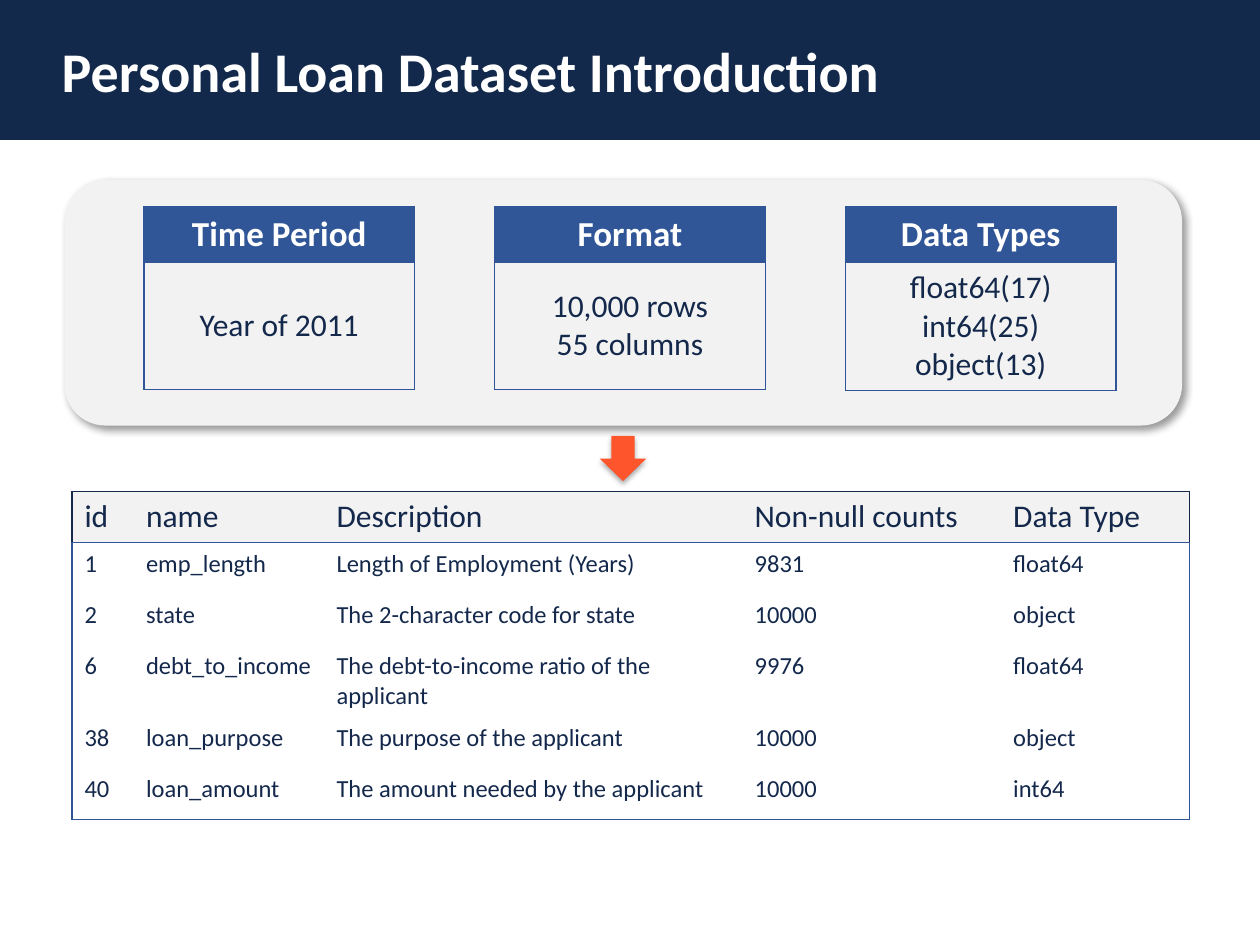
from dataclasses import dataclass

from lxml.etree import SubElement
from pptx import Presentation
from pptx.dml.color import RGBColor
from pptx.enum.shapes import MSO_SHAPE as Shape
from pptx.enum.text import MSO_ANCHOR as Anchor, PP_ALIGN as Align
from pptx.oxml.ns import qn
from pptx.util import Cm, Pt

TITLE = "Personal Loan Dataset Introduction"
CARDS = [
    ("Time Period", "Year of 2011"),
    ("Format", "10,000 rows\n55 columns"),
    ("Data Types", "float64(17)\nint64(25)\nobject(13)"),
]
FIELDS = [
    ("id", "name", "Description", "Non-null counts", "Data Type"),
    ("1", "emp_length", "Length of Employment (Years)", "9831", "float64"),
    ("2", "state", "The 2-character code for state", "10000", "object"),
    ("6", "debt_to_income", "The debt-to-income ratio of the applicant", "9976", "float64"),
    ("38", "loan_purpose", "The purpose of the applicant", "10000", "object"),
    ("40", "loan_amount", "The amount needed by the applicant", "10000", "int64"),
]
FIELD_WIDTHS = (1.24, 3.84, 8.43, 5.21, 3.81)
FIELD_ROW = 1.03
CARD_LEFT, CARD_TOP, CARD_WIDTH, CARD_STEP = 2.9, 4.17, 5.46, 7.07
CARD_ROWS = (1.12, 2.56)


@dataclass(frozen=True)
class Theme:
    font: str = "Calibri"
    band: str = "13294B"
    ink: str = "13284B"
    blue: str = "305697"
    panel: str = "F2F2F2"
    accent: str = "FF552D"
    white: str = "FFFFFF"
    title: int = 32
    card_head: int = 20
    body: int = 18
    small: int = 14


THEME = Theme()


def format_text(text_frame, size, color, bold=False, align=Align.LEFT):
    for paragraph in text_frame.paragraphs:
        paragraph.alignment = align
        for run in paragraph.runs:
            run.font.name = THEME.font
            run.font.size = Pt(size)
            run.font.bold = bold
            run.font.color.rgb = RGBColor.from_string(color)


def add_block(slide, kind, box, color):
    """Add a filled shape without outline or shadow."""
    shape = slide.shapes.add_shape(kind, *map(Cm, box))
    shape.shadow.inherit = False
    shape.fill.solid()
    shape.fill.fore_color.rgb = RGBColor.from_string(color)
    shape.line.fill.background()
    return shape


def add_shadow(shape, blur, distance, angle, opacity):
    effects = shape.element.spPr.find(qn("a:effectLst"))
    shadow = SubElement(effects, qn("a:outerShdw"), blurRad=str(Pt(blur)),
                        dist=str(Pt(distance)), dir=str(angle * 60000),
                        algn="tl", rotWithShape="0")
    color = SubElement(shadow, qn("a:srgbClr"), val="000000")
    SubElement(color, qn("a:alpha"), val=str(opacity * 1000))


def set_borders(cell, colors):
    """Draw the sides named in colors and clear the others."""
    properties = cell._tc.get_or_add_tcPr()
    for side in "LRTB":
        line = SubElement(properties, qn(f"a:ln{side}"), w=str(Pt(1)))
        if side in colors:
            fill = SubElement(line, qn("a:solidFill"))
            SubElement(fill, qn("a:srgbClr"), val=colors[side])
        else:
            SubElement(line, qn("a:noFill"))


def fill_cell(cell, text, borders, fill=None, **text_format):
    cell.text_frame.text = text
    format_text(cell.text_frame, **text_format)
    set_borders(cell, borders)
    if fill:
        cell.fill.solid()
        cell.fill.fore_color.rgb = RGBColor.from_string(fill)
    else:
        cell.fill.background()


def add_plain_table(slide, left, top, widths, heights):
    table = slide.shapes.add_table(len(heights), len(widths), Cm(left), Cm(top),
                                   Cm(sum(widths)), Cm(sum(heights))).table
    table.first_row = table.horz_banding = False
    for column, width in zip(table.columns, widths):
        column.width = Cm(width)
    for row, height in zip(table.rows, heights):
        row.height = Cm(height)
    return table


def add_card(slide, left, heading, body):
    table = add_plain_table(slide, left, CARD_TOP, [CARD_WIDTH], CARD_ROWS)
    frame = dict.fromkeys("LRTB", THEME.blue)
    head_cell, body_cell = table.cell(0, 0), table.cell(1, 0)
    fill_cell(head_cell, heading, frame, THEME.blue, size=THEME.card_head,
              color=THEME.white, bold=True, align=Align.CENTER)
    fill_cell(body_cell, body, frame, size=THEME.body,
              color=THEME.ink, align=Align.CENTER)
    body_cell.vertical_anchor = Anchor.MIDDLE


def add_field_table(slide):
    table = add_plain_table(slide, 1.45, 9.91, FIELD_WIDTHS, [FIELD_ROW] * len(FIELDS))
    last_row, last_column = len(FIELDS) - 1, len(FIELD_WIDTHS) - 1
    for i, record in enumerate(FIELDS):
        header = i == 0
        edge = THEME.ink if header else THEME.blue
        for j, text in enumerate(record):
            borders = {}
            if j == 0:
                borders["L"] = edge
            if j == last_column:
                borders["R"] = edge
            if i <= 1:
                borders["T"] = edge
            if i in (0, last_row):
                borders["B"] = THEME.blue
            fill_cell(table.cell(i, j), text, borders,
                      THEME.panel if header else None,
                      size=THEME.body if header else THEME.small, color=THEME.ink)


def main():
    presentation = Presentation()
    presentation.slide_width, presentation.slide_height = Cm(25.4), Cm(19.05)
    slide = presentation.slides.add_slide(presentation.slide_layouts[5])

    title = slide.shapes.title
    title.left, title.top, title.width, title.height = map(Cm, (0.99, 0, 23.16, 2.82))
    title.text_frame.text = TITLE
    title.text_frame.vertical_anchor = Anchor.MIDDLE
    format_text(title.text_frame, THEME.title, THEME.white, bold=True)

    band = add_block(slide, Shape.RECTANGLE, (0, 0, 25.4, 2.82), THEME.band)
    title.element.addprevious(band.element)
    panel = add_block(slide, Shape.ROUNDED_RECTANGLE, (1.3, 3.63, 22.53, 4.95), THEME.panel)
    add_shadow(panel, blur=4, distance=3, angle=45, opacity=40)

    add_field_table(slide)
    for i, (heading, body) in enumerate(CARDS):
        add_card(slide, CARD_LEFT + i * CARD_STEP, heading, body)

    arrow = add_block(slide, Shape.DOWN_ARROW, (12.09, 8.79, 0.94, 0.91), THEME.accent)
    add_shadow(arrow, blur=3.1, distance=1.8, angle=90, opacity=35)

    presentation.save("out.pptx")


if __name__ == "__main__":
    main()
